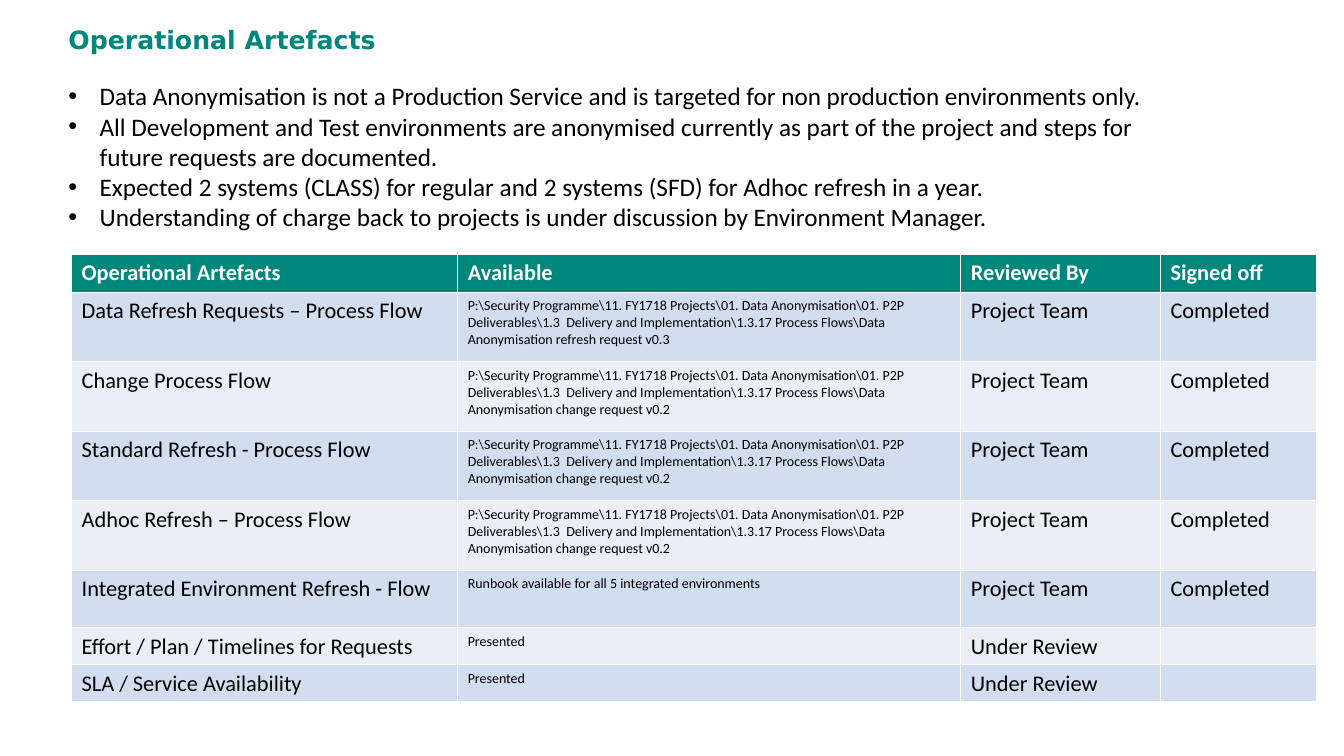
from dataclasses import dataclass
from pptx import Presentation
from pptx.dml.color import RGBColor as RGB
from pptx.enum.text import MSO_ANCHOR as Anchor
from pptx.oxml.ns import qn
from pptx.util import Inches, Pt
from lxml.etree import SubElement as Sub

TITLE = "Operational Artefacts"
POINTS = [
    "Data Anonymisation is not a Production Service and is targeted for non production environments only.",
    "All Development and Test environments are anonymised currently as part of the project and steps for future requests are documented.",
    "Expected 2 systems (CLASS) for regular and 2 systems (SFD) for Adhoc refresh in a year.",
    "Understanding of charge back to projects is under discussion by Environment Manager.",
]
FOLDER = (
    "P:\\Security Programme\\11. FY1718 Projects\\01. Data Anonymisation\\01. P2P Deliverables"
    "\\1.3  Delivery and Implementation\\1.3.17 Process Flows\\Data Anonymisation "
)
REFRESH = FOLDER + "refresh request v0.3"
CHANGE = FOLDER + "change request v0.2"
DONE = ("Project Team", "Completed")
OPEN = ("Under Review", "")
ROWS = [
    (TITLE, "Available", "Reviewed By", "Signed off"),
    ("Data Refresh Requests – Process Flow", REFRESH, *DONE),
    ("Change Process Flow", CHANGE, *DONE),
    ("Standard Refresh - Process Flow", CHANGE, *DONE),
    ("Adhoc Refresh – Process Flow", CHANGE, *DONE),
    ("Integrated Environment Refresh - Flow", "Runbook available for all 5 integrated environments", *DONE),
    ("Effort / Plan / Timelines for Requests", "Presented", *OPEN),
    ("SLA / Service Availability", "Presented", *OPEN),
]
WIDTHS = [3.83, 4.99, 1.98, 1.55]
HEIGHTS = [0.38] + [0.69] * 4 + [0.57] + [0.33] * 2


@dataclass(frozen=True)
class Theme:
    head: str = "DejaVu Sans"
    body: str = "Calibri"
    green: str = "00877C"
    white: str = "FFFFFF"
    black: str = "000000"
    bands: tuple = ("EAEFF7", "D2DEEF")
    large: int = 18
    cell: int = 16
    small: int = 10


theme = Theme()


def style(para, size, color, face=theme.body, bold=False):
    font = para.font
    font.name, font.size, font.bold = face, Pt(size), bold
    font.color.rgb = RGB.from_string(color)


def add_text(slide, box, lines):
    frame = slide.shapes.add_textbox(*map(Inches, box)).text_frame
    frame.word_wrap = True
    frame.text = "\n".join(lines)
    return frame


def add_bullet(para, indent):
    props = para._p.get_or_add_pPr()
    props.set("marL", str(indent))
    props.set("indent", str(-indent))
    Sub(props, qn("a:buFont")).set("typeface", "Arial")
    Sub(props, qn("a:buChar")).set("char", "•")


def add_grid(slide, left, top):
    size = map(Inches, (left, top, sum(WIDTHS), sum(HEIGHTS)))
    table = slide.shapes.add_table(len(ROWS), len(WIDTHS), *size).table
    for col, width in zip(table.columns, WIDTHS):
        col.width = Inches(width)
    for r, (row, height) in enumerate(zip(ROWS, HEIGHTS)):
        table.rows[r].height = Inches(height)
        top_row = r == 0
        for c, text in enumerate(row):
            cell = table.cell(r, c)
            cell.text = text
            cell.fill.solid()
            cell.fill.fore_color.rgb = RGB.from_string(theme.green if top_row else theme.bands[r % 2])
            size = theme.small if c == 1 and not top_row else theme.cell
            color = theme.white if top_row else theme.black
            style(cell.text_frame.paragraphs[0], size, color, bold=top_row)


deck = Presentation()
deck.slide_width, deck.slide_height = Inches(13.33), Inches(7.5)
slide = deck.slides.add_slide(deck.slide_layouts[6])

title = add_text(slide, (0.58, 0.21, 11.84, 0.39), [TITLE])
title.vertical_anchor = Anchor.MIDDLE
title.paragraphs[0].line_spacing = 0.9
style(title.paragraphs[0], theme.large, theme.green, theme.head, True)

add_grid(slide, 0.71, 2.52)

for para in add_text(slide, (0.58, 0.75, 11.25, 1.62), POINTS).paragraphs:
    add_bullet(para, Inches(0.31))
    style(para, theme.large, theme.black)

deck.save("out.pptx")
